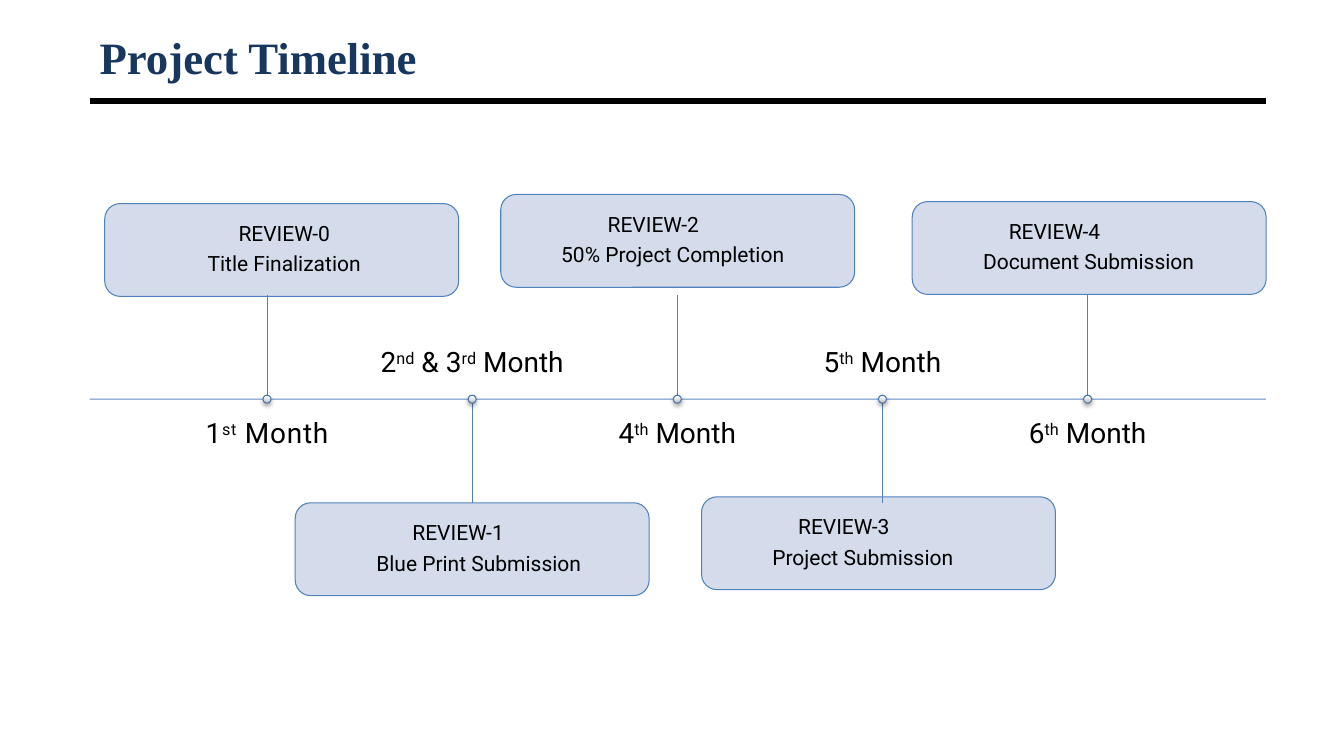
from lxml import etree
from pptx import Presentation
from pptx.dml.color import RGBColor
from pptx.enum.shapes import MSO_CONNECTOR, MSO_SHAPE
from pptx.enum.text import MSO_ANCHOR, PP_ALIGN
from pptx.oxml.ns import qn
from pptx.util import Cm, Pt

STRAIGHT = MSO_CONNECTOR.STRAIGHT
ROUNDED, OVAL = MSO_SHAPE.ROUNDED_RECTANGLE, MSO_SHAPE.OVAL
TOP, MIDDLE, BOTTOM = MSO_ANCHOR.TOP, MSO_ANCHOR.MIDDLE, MSO_ANCHOR.BOTTOM
LEFT, CENTER = PP_ALIGN.LEFT, PP_ALIGN.CENTER

COLORS = {
    "title": "17375E", "text": "000000", "rule": "000000", "blue": "4F81BD",
    "card": "D0D8E8", "dot_line": "4875AC", "dot_dark": "BEBEBE",
    "dot_light": "F7F7F7", "shadow": "000000",
}
RGB = {name: RGBColor.from_string(value) for name, value in COLORS.items()}

RULE_LEFT, RULE_RIGHT, RULE_Y = 2.26, 31.9, 2.54
AXIS_Y, FIRST_X, STEP = 10.06, 6.73, 5.17
STEM, DOT = 2.62, 0.2
CARD_W, CARD_H, CARD_INSET = 8.92, 2.34, 0.5
LABEL_W, LABEL_H, LABEL_GAP = 7.85, 1.55, 0.51

# Month pieces alternate between normal and superscript text.
# Card lines are (text, left indent); cards alternate above and below the axis.
MILESTONES = [
    (["1", "st", " Month"], 2.64, 5.13, CENTER,
     [("REVIEW-0", 0.13), ("Title Finalization", 0.13)]),
    (["2", "nd", " & 3", "rd", " Month"], 7.44, 12.67, LEFT,
     [("REVIEW-1", 2.34), ("Blue Print Submission", 1.43)]),
    (["4", "th", " Month"], 12.62, 4.9, LEFT,
     [("REVIEW-2", 2.08), ("50% Project Completion", 0.91)]),
    (["5", "th", " Month"], 17.68, 12.52, LEFT,
     [("REVIEW-3", 1.82), ("Project Submission", 1.17)]),
    (["6", "th", " Month"], 22.99, 5.08, LEFT,
     [("REVIEW-4", 1.82), ("Document Submission", 1.17)]),
]

prs = Presentation()
prs.slide_width, prs.slide_height = Cm(33.87), Cm(19.05)
s = prs.slides.add_slide(prs.slide_layouts[6])


def add_line(x1, y1, x2, y2, color, width):
    line = s.shapes.add_connector(STRAIGHT, Cm(x1), Cm(y1), Cm(x2), Cm(y2))
    line.line.color.rgb = RGB[color]
    line.line.width = Pt(width)
    etree.SubElement(line._element.spPr, qn("a:effectLst"))
    return line


def set_opacity(sp, percent):
    """Make the first solid colour of a shape or line translucent."""
    color = next(sp._element.spPr.iter(qn("a:srgbClr")))
    etree.SubElement(color, qn("a:alpha"), val=str(percent * 1000))


# Title and rule
add_line(RULE_LEFT, RULE_Y, RULE_RIGHT, RULE_Y, "rule", 4.5)
title = s.shapes.add_textbox(Cm(RULE_LEFT), Cm(0.76), Cm(RULE_RIGHT - RULE_LEFT), Cm(1.35))
tf = title.text_frame
tf.word_wrap = True
tf.vertical_anchor = MIDDLE
p = tf.paragraphs[0]
p.text = "Project Timeline"
p.font.name, p.font.size, p.font.bold = "Times New Roman", Pt(32), True
p.font.color.rgb = RGB["title"]

# Time axis
axis = add_line(RULE_LEFT, AXIS_Y, RULE_RIGHT, AXIS_Y, "blue", 0.75)
set_opacity(axis, 90)

for i, (month, card_left, card_top, align, lines) in enumerate(MILESTONES):
    x = FIRST_X + i * STEP
    card_above = i % 2 == 0

    # Review card
    card = s.shapes.add_shape(ROUNDED, Cm(card_left), Cm(card_top), Cm(CARD_W), Cm(CARD_H))
    card.shadow.inherit = False
    card.fill.solid()
    card.fill.fore_color.rgb = RGB["card"]
    set_opacity(card, 90)
    card.line.color.rgb = RGB["blue"]
    card.line.width = Pt(0.75)
    tf = card.text_frame
    tf.word_wrap = True
    tf.vertical_anchor = MIDDLE
    tf.margin_left = tf.margin_right = tf.margin_top = tf.margin_bottom = Cm(CARD_INSET)
    for n, (text, indent) in enumerate(lines):
        p = tf.add_paragraph() if n else tf.paragraphs[0]
        p.text = text
        p.alignment = align
        p.line_spacing = 0.9
        p.space_after = Pt(5.5)
        p._p.get_or_add_pPr().set("marL", str(Cm(indent)))
        p.font.name, p.font.size = "Roboto", Pt(15)
        p.font.color.rgb = RGB["text"]

    # Stem from the axis to the card
    add_line(x, AXIS_Y, x, AXIS_Y - STEM if card_above else AXIS_Y + STEM, "blue", 0.75)

    # Month label on the other side of the axis
    label_top = AXIS_Y + LABEL_GAP if card_above else AXIS_Y - LABEL_GAP - LABEL_H
    label = s.shapes.add_textbox(Cm(x - LABEL_W / 2), Cm(label_top), Cm(LABEL_W), Cm(LABEL_H))
    tf = label.text_frame
    tf.word_wrap = True
    tf.vertical_anchor = TOP if card_above else BOTTOM
    tf.margin_left = tf.margin_right = tf.margin_top = tf.margin_bottom = 0
    p = tf.paragraphs[0]
    p.alignment = CENTER
    p.line_spacing = 0.9
    p.font.name, p.font.size = "Roboto", Pt(20)
    p.font.color.rgb = RGB["text"]
    for n, piece in enumerate(month):
        r = p.add_run()
        r.text = piece
        rPr = r._r.get_or_add_rPr()
        if n % 2:
            rPr.set("baseline", "30000")
        if i == 0:
            rPr.set("spc", "50")

    # Dot on the axis
    dot = s.shapes.add_shape(OVAL, Cm(x - DOT / 2), Cm(AXIS_Y - DOT / 2), Cm(DOT), Cm(DOT))
    dot.fill.gradient()
    dot.fill.gradient_angle = 90
    for stop, color, position in zip(dot.fill.gradient_stops, ("dot_dark", "dot_light"), (0, 0.8)):
        stop.color.rgb = RGB[color]
        stop.position = position
    dot.line.color.rgb = RGB["dot_line"]
    dot.line.width = Pt(0.75)
    dot.shadow.inherit = False
    effects = dot._element.spPr.find(qn("a:effectLst"))
    shadow = etree.SubElement(effects, qn("a:outerShdw"), blurRad=str(Pt(3.1)),
                              dist=str(Pt(1.8)), dir="5400000", rotWithShape="0")
    color = etree.SubElement(shadow, qn("a:srgbClr"), val=COLORS["shadow"])
    etree.SubElement(color, qn("a:alpha"), val="35000")

prs.save("out.pptx")
